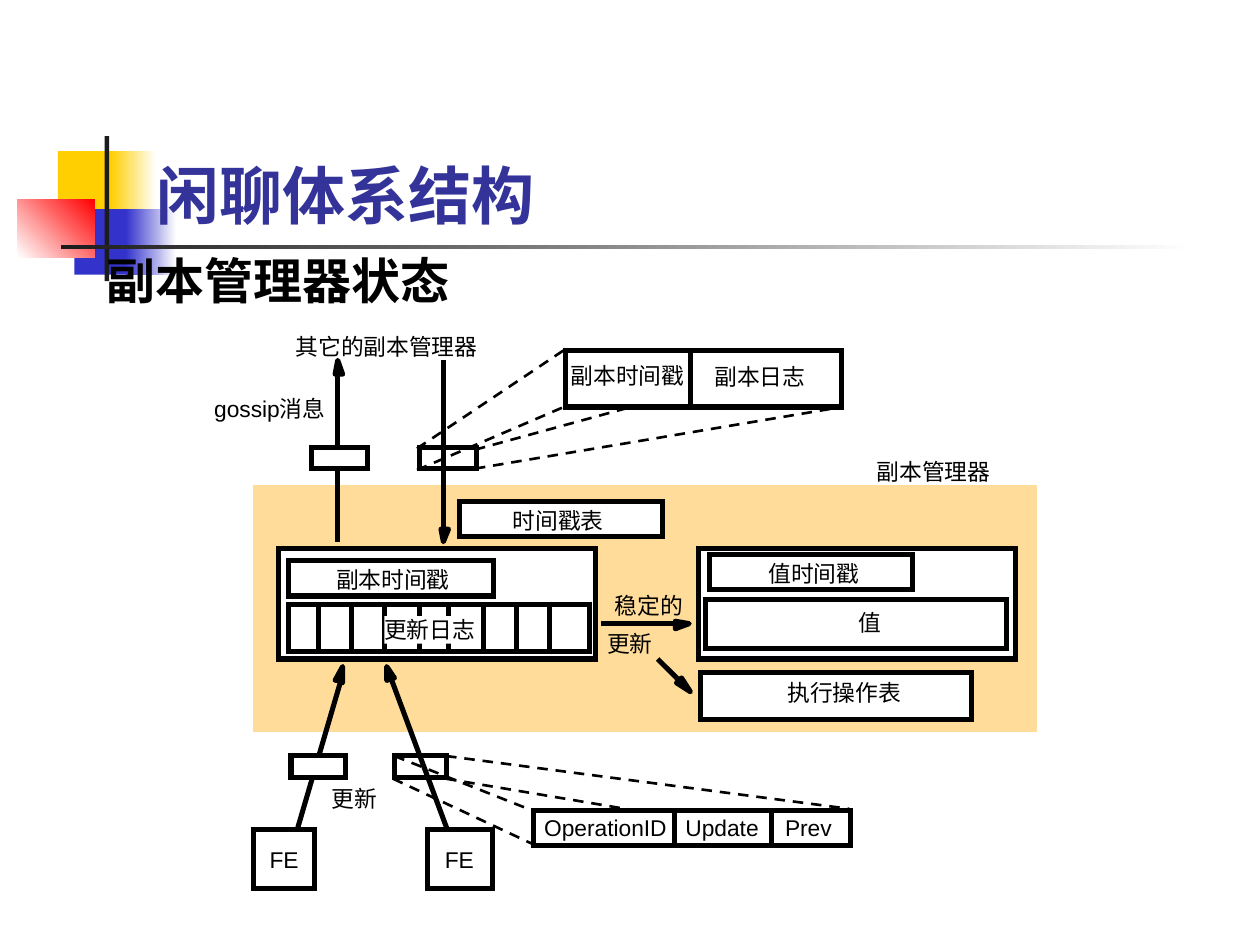
from dataclasses import dataclass

from lxml import etree
from pptx import Presentation
from pptx.dml.color import RGBColor
from pptx.enum.dml import MSO_LINE
from pptx.enum.shapes import MSO_CONNECTOR, MSO_SHAPE
from pptx.enum.text import MSO_ANCHOR, MSO_AUTO_SIZE, PP_ALIGN
from pptx.oxml.ns import qn
from pptx.util import Pt

RECT = MSO_SHAPE.RECTANGLE
STRAIGHT = MSO_CONNECTOR.STRAIGHT
DASH = MSO_LINE.DASH
BOTTOM = MSO_ANCHOR.BOTTOM
FIT_SHAPE = MSO_AUTO_SIZE.SHAPE_TO_FIT_TEXT
LEFT = PP_ALIGN.LEFT

COLORS = {
    "black": "000000",
    "white": "FFFFFF",
    "panel": "FFDC99",
    "yellow": "FFCF01",
    "blue": "3333CC",
    "red": "FF0000",
    "bar": "1C1C1C",
    "title": "333399",
}
HEAVY = 2.88
THIN = 1.5
LABEL_SIZE = 13
LABEL_HEIGHT = 15.8


@dataclass
class Box:
    x: float
    y: float
    w: float
    h: float
    fill: str | None = "white"
    fade: str | None = None
    angle: float = 0
    outlined: bool = True


@dataclass
class Line:
    x1: float
    y1: float
    x2: float
    y2: float
    dashed: bool = False


@dataclass
class Arrow:
    shaft: Line
    head: list[tuple[float, float]]


@dataclass
class Label:
    text: str
    x: float
    y: float
    w: float
    fill: str | None = None
    wrap: bool = False


DECOR = [
    Box(33.1, 86.4, 34.6, 37.4, "yellow", outlined=False),
    Box(63.4, 86.4, 25.9, 37.4, "yellow", "white", outlined=False),
    Box(42.5, 119.5, 33.1, 37.4, "blue", outlined=False),
    Box(72, 119.5, 28.8, 37.4, "blue", "white", outlined=False),
    Box(10.1, 113.8, 43.9, 33.1, "white", "red", 45, outlined=False),
    Box(59.8, 77.8, 2.6, 82.8, "bar", outlined=False),
    Box(34.6, 140, 648, 2.6, "bar", "white", outlined=False),
]
BACK_DASHES = [
    Line(254.9, 445, 486, 483.8, True),
    Line(271.4, 257, 481.7, 199.4, True),
]
STATE_BOXES = [
    Box(144.7, 277.2, 447.8, 141.1, "panel", outlined=False),
    Box(159.1, 313.2, 181.4, 63.4),
    Box(398.9, 313.2, 181.4, 63.4),
    Box(164.9, 320.4, 117.4, 20.2),
    Box(164.9, 345.6, 172.1, 26.6),
    Box(405.4, 316.8, 115.9, 20.2),
    Box(403.2, 342.7, 172.1, 28.1),
    Box(400.3, 384.5, 154.8, 26.6),
    Box(262.8, 286.6, 115.9, 20.2),
    Box(323.3, 200.2, 157.7, 32.4),
    Box(304.6, 463, 181.4, 20.2),
]
LOG_CELLS = [182.2, 200.9, 219.6, 239.8, 256.3, 276.5, 295.2, 313.9]
DIVIDERS = [Line(x, 345.6, x, 372) for x in LOG_CELLS] + [
    Line(394.6, 200.2, 394.6, 231.1),
    Line(385.2, 463, 385.2, 483.1),
    Line(440.6, 463, 440.6, 482.4),
]
ARROWS = [
    Arrow(Line(343.4, 356.4, 385.9, 356.4),
          [(385.9, 355), (393.8, 356.4), (385.9, 359.3)]),
    Arrow(Line(375.8, 376.6, 388.1, 388.8),
          [(389.5, 387.4), (394.6, 395.3), (386.6, 390.2)]),
    Arrow(Line(253.4, 205.9, 253.4, 301),
          [(252, 302.4), (256.3, 302.4), (253.4, 309.6)]),
    Arrow(Line(164.9, 491, 194.4, 390.2),
          [(191.5, 388.8), (195.8, 380.9), (195.8, 390.2), (194.4, 388.8)]),
    Arrow(Line(261.4, 489.6, 223.9, 388.8),
          [(221, 388.8), (221, 380.9), (225.4, 387.4)]),
    Arrow(Line(193, 309.6, 193, 213.8),
          [(191.5, 213.8), (193, 205.9), (195.8, 213.8)]),
]
MESSAGE_BOXES = [
    Box(239.8, 255.6, 32.4, 12.2, None),
    Box(225.4, 432, 29.5, 12.2, None),
    Box(166.3, 432, 31, 12.2),
    Box(177.8, 255.6, 32.4, 12.2),
    Box(144.7, 473.8, 35.3, 33.8),
    Box(244.1, 473.8, 37.4, 33.8),
]
FRONT_DASHES = [
    Line(238.3, 256.3, 323.3, 199.4, True),
    Line(238.3, 268.6, 324, 231.8, True),
    Line(271.4, 267.8, 481, 232.6, True),
    Line(254.9, 432, 485.3, 462.2, True),
    Line(225.4, 432, 303.8, 463, True),
    Line(224.6, 445, 304.6, 482.4, True),
]
LABELS = [
    Label("其它的副本管理器", 169, 190.1, 106),
    Label("gossip消息", 122.4, 225.4, 63.4, wrap=True),
    Label("副本时间戳", 326.2, 206.6, 67),
    Label("副本日志", 408.2, 207.4, 54),
    Label("副本管理器", 501.1, 261.4, 67),
    Label("时间戳表", 293, 289.4, 54),
    Label("副本时间戳", 192.2, 323.3, 67),
    Label("更新日志", 219.6, 352.1, 54, "white"),
    Label("值时间戳", 439.2, 319.7, 54),
    Label("值", 490.3, 347.8, 15),
    Label("稳定的", 351.4, 338.4, 41),
    Label("更新", 347, 360, 28),
    Label("执行操作表", 450, 388.1, 67),
    Label("更新", 189.4, 448.6, 28),
    Label("OperationID", 311, 465.1, 73),
    Label("Update", 391.7, 465.1, 48),
    Label("Prev", 448.6, 465.1, 30),
    Label("FE", 154.1, 483.1, 19),
    Label("FE", 254.2, 483.1, 19),
]


def rgb(name: str) -> RGBColor:
    return RGBColor.from_string(COLORS[name])


def style_line(line, width: float) -> None:
    line.color.rgb = rgb("black")
    line.width = Pt(width)


def style_text(tf, text: str, size: float, font: str, color: str, bold: bool) -> None:
    p = tf.paragraphs[0]
    p.text = text
    p.alignment = LEFT
    p.space_before = Pt(0)
    p.font.size = Pt(size)
    p.font.name = font
    p.font.bold = bold
    p.font.color.rgb = rgb(color)


def draw_box(s, box: Box) -> None:
    sp = s.shapes.add_shape(RECT, Pt(box.x), Pt(box.y), Pt(box.w), Pt(box.h))
    sp.shadow.inherit = False
    if box.fill is None:
        sp.fill.background()
    elif box.fade:
        sp.fill.gradient()
        sp.fill.gradient_angle = box.angle
        for stop, color in zip(sp.fill.gradient_stops, (box.fill, box.fade)):
            stop.color.rgb = rgb(color)
    else:
        sp.fill.solid()
        sp.fill.fore_color.rgb = rgb(box.fill)
    if box.outlined:
        style_line(sp.line, HEAVY)
        ln = sp._element.spPr.find(qn("a:ln"))
        etree.SubElement(ln, qn("a:miter"), lim="800000")
    else:
        sp.line.fill.background()


def draw_line(s, line: Line) -> None:
    c = s.shapes.add_connector(STRAIGHT, Pt(line.x1), Pt(line.y1), Pt(line.x2), Pt(line.y2))
    style_line(c.line, THIN if line.dashed else HEAVY)
    if line.dashed:
        c.line.dash_style = DASH
    etree.SubElement(c._element.spPr, qn("a:effectLst"))


def draw_arrow(s, arrow: Arrow) -> None:
    points = [(Pt(x), Pt(y)) for x, y in arrow.head]
    builder = s.shapes.build_freeform(*points[0])
    builder.add_line_segments(points[1:], close=True)
    sp = builder.convert_to_shape()
    sp.shadow.inherit = False
    sp.fill.solid()
    sp.fill.fore_color.rgb = rgb("black")
    style_line(sp.line, HEAVY)
    draw_line(s, arrow.shaft)


def draw_label(s, label: Label) -> None:
    sp = s.shapes.add_textbox(Pt(label.x), Pt(label.y), Pt(label.w), Pt(LABEL_HEIGHT))
    if label.fill:
        sp.fill.solid()
        sp.fill.fore_color.rgb = rgb(label.fill)
    tf = sp.text_frame
    tf.margin_left = tf.margin_right = tf.margin_top = tf.margin_bottom = Pt(0)
    tf.word_wrap = label.wrap
    if label.wrap:
        tf.auto_size = FIT_SHAPE
    style_text(tf, label.text, LABEL_SIZE, "Arial", "black", False)


def draw_headings(s) -> None:
    title = s.shapes.title
    title.left, title.top, title.width, title.height = Pt(82.1), Pt(65.5), Pt(532.8), Pt(70.6)
    title.text_frame.vertical_anchor = BOTTOM
    style_text(title.text_frame, "闲聊体系结构", 36, "Noto Sans CJK JP", "title", True)
    s.shapes._spTree.append(title._element)
    body = s.shapes.add_textbox(Pt(54), Pt(139.7), Pt(635), Pt(374.4))
    body.text_frame.word_wrap = True
    style_text(body.text_frame, "副本管理器状态", 28, "Times New Roman", "black", True)


def main() -> None:
    prs = Presentation()
    prs.slide_width, prs.slide_height = Pt(720), Pt(540)
    s = prs.slides.add_slide(prs.slide_layouts[5])
    for box in DECOR:
        draw_box(s, box)
    draw_headings(s)
    for draw, items in (
        (draw_line, BACK_DASHES),
        (draw_box, STATE_BOXES),
        (draw_line, DIVIDERS),
        (draw_arrow, ARROWS),
        (draw_box, MESSAGE_BOXES),
        (draw_line, FRONT_DASHES),
        (draw_label, LABELS),
    ):
        for item in items:
            draw(s, item)
    prs.save("out.pptx")


if __name__ == "__main__":
    main()
